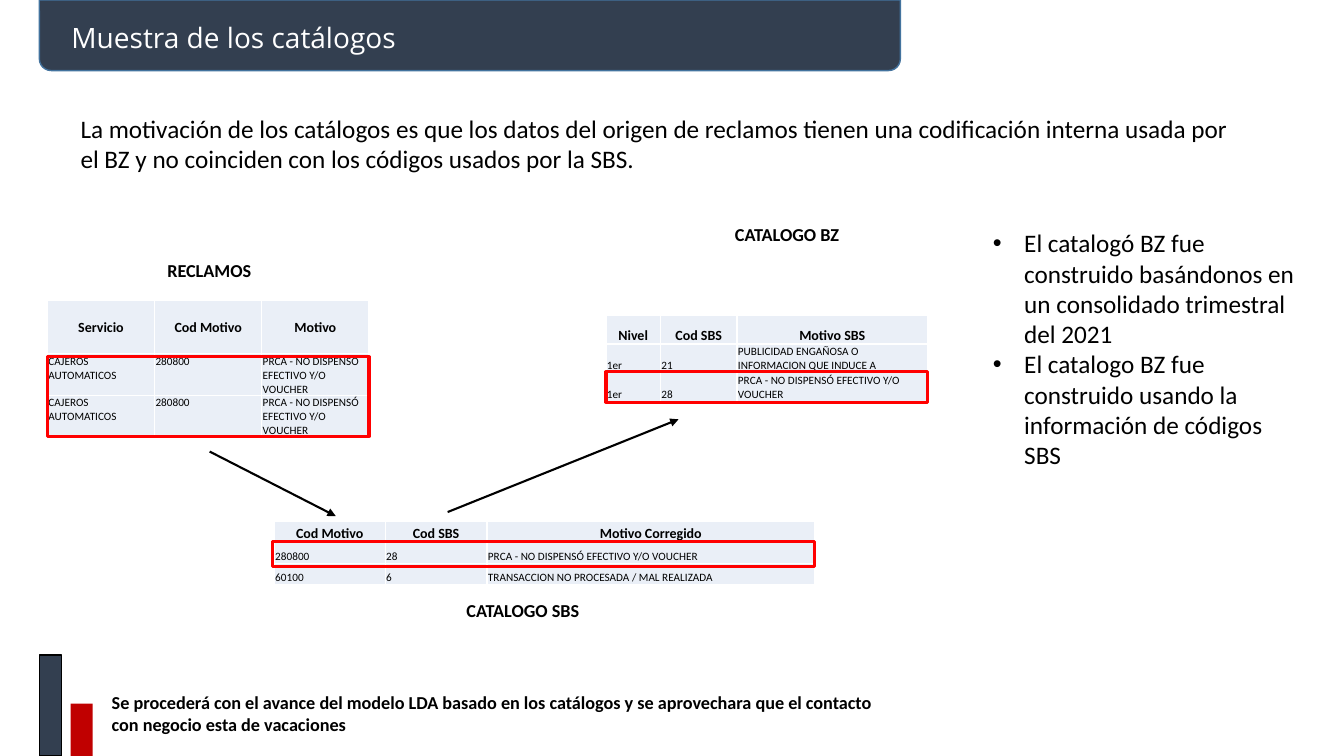
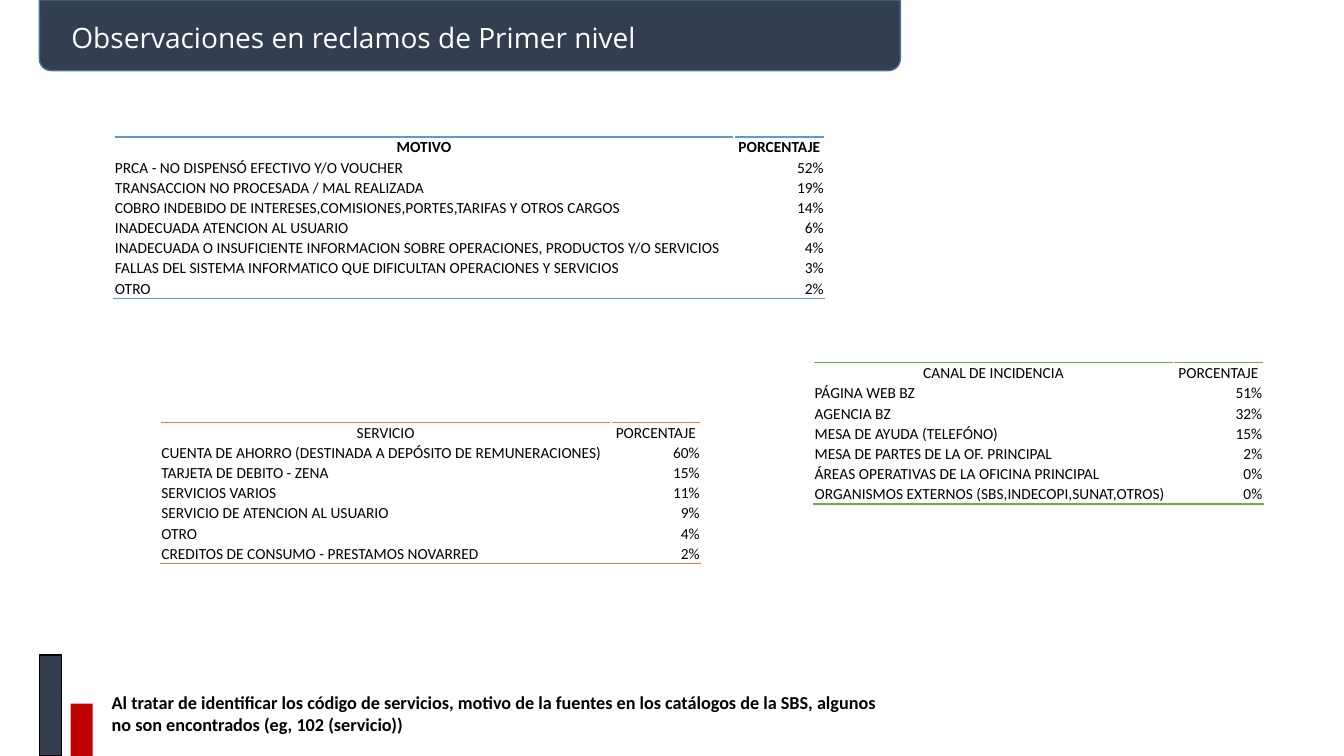
from dataclasses import dataclass
from typing import Optional

from lxml.etree import SubElement
from pptx import Presentation
from pptx.dml.color import RGBColor
from pptx.enum.shapes import MSO_CONNECTOR, MSO_SHAPE
from pptx.enum.text import MSO_ANCHOR, MSO_AUTO_SIZE, PP_ALIGN
from pptx.oxml.ns import qn
from pptx.slide import Slide
from pptx.util import Inches, Pt

# Colours and fonts
NAVY = RGBColor(0x33, 0x3F, 0x50)
STEEL = RGBColor(0x43, 0x73, 0x9E)
CRIMSON = RGBColor(0xC0, 0x00, 0x00)
RED = RGBColor(0xFF, 0x00, 0x00)
BLACK = RGBColor(0x00, 0x00, 0x00)
WHITE = RGBColor(0xFF, 0xFF, 0xFF)
PALE_BLUE = RGBColor(0xEA, 0xEF, 0xF7)
BLUE = RGBColor(0x5B, 0x9B, 0xD5)
ORANGE = RGBColor(0xED, 0x7D, 0x31)
GREEN = RGBColor(0x70, 0xAD, 0x47)
BODY_FONT = "Calibri"
TITLE_FONT = "Open Sans"

# Slide grid: 160 columns by 90 rows of square units
SLIDE_WIDTH, SLIDE_HEIGHT = Inches(13.33), Inches(7.5)
GRID_ROWS = 90
BULLET_INDENT = Inches(0.31)


def units(count: float) -> int:
    return round(count * SLIDE_HEIGHT / GRID_ROWS)


@dataclass(frozen=True)
class Box:
    left: float
    top: float
    width: float
    height: float

    def lengths(self) -> tuple[int, ...]:
        return tuple(map(units, (self.left, self.top, self.width, self.height)))


@dataclass(frozen=True)
class TextStyle:
    size: float
    bold: bool = False
    color: RGBColor = BLACK
    font: str = BODY_FONT
    align: PP_ALIGN = PP_ALIGN.LEFT
    bullet: bool = False


@dataclass(frozen=True)
class Arrow:
    start: tuple[float, float]
    end: tuple[float, float]


@dataclass(frozen=True)
class CatalogTable:
    label: str
    label_box: Box
    left: float
    top: float
    columns: tuple[float, ...]
    rows: tuple[float, ...]
    cells: tuple[tuple[str, ...], ...]
    highlight: Box
    header_anchor: MSO_ANCHOR = MSO_ANCHOR.BOTTOM
    body_anchor: MSO_ANCHOR = MSO_ANCHOR.BOTTOM


@dataclass(frozen=True)
class ShareTable:
    heading: str
    left: float
    top: float
    columns: tuple[float, float]
    color: RGBColor
    shares: tuple[tuple[str, int], ...]
    bold_header: bool = False


TITLE = TextStyle(20, color=WHITE, font=TITLE_FONT)
PROSE = TextStyle(18)
BULLETS = TextStyle(18, bullet=True)
NOTE = TextStyle(13, bold=True)
LABEL = TextStyle(13, bold=True, align=PP_ALIGN.CENTER)
CATALOG_HEADER = TextStyle(10, bold=True, align=PP_ALIGN.CENTER)
CATALOG_BODY = TextStyle(8)
SHARE_ROW = 2.4

# Slide content
VOUCHER = "PRCA - NO DISPENSÓ EFECTIVO Y/O VOUCHER"
UNPROCESSED = "TRANSACCION NO PROCESADA / MAL REALIZADA"
CLAIM = ("CAJEROS AUTOMATICOS", "280800", VOUCHER)

CATALOGS = (
    CatalogTable(
        "RECLAMOS", Box(14.04, 30.24, 21.72, 3.84), 5.64, 35.76,
        (12.76,) * 3, (6.36, 4.92, 4.92),
        (("Servicio", "Cod Motivo", "Motivo"), CLAIM, CLAIM),
        Box(5.64, 42.48, 38.28, 9.48), MSO_ANCHOR.MIDDLE, MSO_ANCHOR.TOP),
    CatalogTable(
        "CATALOGO SBS", Box(51.36, 70.8, 21.72, 5.04), 32.64, 62.04,
        (13.2, 12.12, 39), (2.5,) * 3,
        (("Cod Motivo", "Cod SBS", "Motivo Corregido"),
         ("280800", "28", VOUCHER),
         ("60100", "6", UNPROCESSED)),
        Box(32.4, 64.44, 64.56, 3)),
    CatalogTable(
        "CATALOGO BZ", Box(82.8, 26.04, 21.72, 5.04), 72.12, 37.56,
        (6.48, 9.12, 22.68), (3.4,) * 3,
        (("Nivel", "Cod SBS", "Motivo SBS"),
         ("1er", "21", "PUBLICIDAD ENGAÑOSA O INFORMACION QUE INDUCE A"),
         ("1er", "28", VOUCHER)),
        Box(72.12, 44.28, 38.28, 3.6)),
)
ARROWS = (Arrow((24.96, 53.76), (39.96, 61.44)), Arrow((53.28, 60.96), (80.76, 49.92)))

SHARE_TABLES = (
    ShareTable("MOTIVO", 13.56, 16.32, (73.8, 10.8), BLUE, (
        (VOUCHER, 52),
        (UNPROCESSED, 19),
        ("COBRO INDEBIDO DE INTERESES,COMISIONES,PORTES,TARIFAS Y OTROS CARGOS", 14),
        ("INADECUADA ATENCION AL USUARIO", 6),
        ("INADECUADA O INSUFICIENTE INFORMACION SOBRE OPERACIONES, PRODUCTOS Y/O SERVICIOS", 4),
        ("FALLAS DEL SISTEMA INFORMATICO QUE DIFICULTAN OPERACIONES Y SERVICIOS", 3),
        ("OTRO", 2)), bold_header=True),
    ShareTable("SERVICIO", 19.08, 50.28, (53.64, 10.68), ORANGE, (
        ("CUENTA DE AHORRO (DESTINADA A DEPÓSITO DE REMUNERACIONES)", 60),
        ("TARJETA DE DEBITO - ZENA", 15),
        ("SERVICIOS VARIOS", 11),
        ("SERVICIO DE ATENCION AL USUARIO", 9),
        ("OTRO", 4),
        ("CREDITOS DE CONSUMO - PRESTAMOS NOVARRED", 2))),
    ShareTable("CANAL DE INCIDENCIA", 96.84, 43.2, (42.84, 10.68), GREEN, (
        ("PÁGINA WEB BZ", 51),
        ("AGENCIA BZ", 32),
        ("MESA DE AYUDA (TELEFÓNO)", 15),
        ("MESA DE PARTES DE LA OF. PRINCIPAL", 2),
        ("ÁREAS OPERATIVAS DE LA OFICINA PRINCIPAL", 0),
        ("ORGANISMOS EXTERNOS (SBS,INDECOPI,SUNAT,OTROS)", 0))),
)


# Drawing functions
def style_paragraph(paragraph, style: TextStyle) -> None:
    paragraph.alignment = style.align
    for run in paragraph.runs:
        run.font.name = style.font
        run.font.size = Pt(style.size)
        run.font.bold = style.bold
        run.font.color.rgb = style.color
    if style.bullet:
        properties = paragraph._p.get_or_add_pPr()
        properties.set("marL", str(BULLET_INDENT))
        properties.set("indent", str(-BULLET_INDENT))
        SubElement(properties, qn("a:buFont"), typeface="Arial")
        SubElement(properties, qn("a:buChar"), char="•")


def add_text(slide: Slide, box: Box, text: str, style: TextStyle) -> None:
    text_frame = slide.shapes.add_textbox(*box.lengths()).text_frame
    text_frame.word_wrap = True
    text_frame.auto_size = MSO_AUTO_SIZE.SHAPE_TO_FIT_TEXT
    text_frame.text = text
    for paragraph in text_frame.paragraphs:
        style_paragraph(paragraph, style)


def add_block(slide: Slide, box: Box, fill: Optional[RGBColor] = None,
              line: Optional[RGBColor] = None, line_width: float = 1,
              kind: MSO_SHAPE = MSO_SHAPE.RECTANGLE, rotation: float = 0) -> None:
    shape = slide.shapes.add_shape(kind, *box.lengths())
    shape.shadow.inherit = False
    shape.rotation = rotation
    if fill is None:
        shape.fill.background()
    else:
        shape.fill.solid()
        shape.fill.fore_color.rgb = fill
    if line is None:
        shape.line.fill.background()
    else:
        shape.line.color.rgb = line
        shape.line.width = Pt(line_width)


def add_arrow(slide: Slide, arrow: Arrow) -> None:
    connector = slide.shapes.add_connector(
        MSO_CONNECTOR.STRAIGHT, *map(units, arrow.start + arrow.end))
    connector.line.color.rgb = BLACK
    connector.line.width = Pt(1.5)
    SubElement(connector.line._get_or_add_ln(), qn("a:tailEnd"), type="triangle")
    SubElement(connector._element.spPr, qn("a:effectLst"))


def add_plain_table(slide: Slide, left: float, top: float,
                    columns: tuple[float, ...], rows: tuple[float, ...]):
    box = Box(left, top, sum(columns), sum(rows))
    table = slide.shapes.add_table(len(rows), len(columns), *box.lengths()).table
    table.first_row = table.horz_banding = False
    for column, width in zip(table.columns, columns):
        column.width = units(width)
    for row, height in zip(table.rows, rows):
        row.height = units(height)
    return table


def fill_cell(cell, text: str, style: TextStyle, anchor: MSO_ANCHOR,
              edges: str, edge_color: RGBColor, fill: Optional[RGBColor] = None) -> None:
    cell.text_frame.text = text
    style_paragraph(cell.text_frame.paragraphs[0], style)
    cell.vertical_anchor = anchor
    cell.margin_left = cell.margin_right = cell.margin_top = Inches(0.01)
    cell.margin_bottom = 0
    properties = cell._tc.get_or_add_tcPr()
    for edge in edges:
        border = SubElement(properties, qn(f"a:ln{edge}"), w=str(Pt(1)))
        solid = SubElement(border, qn("a:solidFill"))
        SubElement(solid, qn("a:srgbClr"), val=str(edge_color))
    if fill is None:
        cell.fill.background()
    else:
        cell.fill.solid()
        cell.fill.fore_color.rgb = fill


def add_catalog(slide: Slide, catalog: CatalogTable) -> None:
    add_text(slide, catalog.label_box, catalog.label, LABEL)
    table = add_plain_table(slide, catalog.left, catalog.top, catalog.columns, catalog.rows)
    for row, texts in enumerate(catalog.cells):
        style = CATALOG_BODY if row else CATALOG_HEADER
        anchor = catalog.body_anchor if row else catalog.header_anchor
        for column, text in enumerate(texts):
            fill_cell(table.cell(row, column), text, style, anchor, "LRTB", WHITE, PALE_BLUE)
    add_block(slide, catalog.highlight, line=RED, line_width=2.25)


def add_shares(slide: Slide, data: ShareTable) -> None:
    last = len(data.shares)
    table = add_plain_table(slide, data.left, data.top, data.columns, (SHARE_ROW,) * (last + 1))
    header = TextStyle(11, bold=data.bold_header, align=PP_ALIGN.CENTER)
    for column, text in enumerate((data.heading, "PORCENTAJE")):
        fill_cell(table.cell(0, column), text, header, MSO_ANCHOR.TOP, "T", data.color)
    for row, (name, share) in enumerate(data.shares, start=1):
        edges = "B" if row == last else ""
        for column, (text, align) in enumerate(
                ((name, PP_ALIGN.LEFT), (f"{share}%", PP_ALIGN.RIGHT))):
            fill_cell(table.cell(row, column), text, TextStyle(11, align=align),
                      MSO_ANCHOR.BOTTOM, edges, data.color)


def add_framed_slide(presentation, title: str, note: str) -> Slide:
    slide = presentation.slides.add_slide(presentation.slide_layouts[6])
    add_block(slide, Box(4.68, 0, 102.48, 8.4), NAVY, STEEL,
              kind=MSO_SHAPE.ROUND_2_SAME_RECTANGLE, rotation=180)
    add_text(slide, Box(7.32, 1.8, 73.44, 5.28), title, TITLE)
    add_block(slide, Box(4.68, 78, 2.64, 12), NAVY, BLACK)
    add_block(slide, Box(8.4, 83.76, 2.64, 6.24), CRIMSON)
    add_text(slide, Box(12.12, 81.72, 95.04, 6.48), note, NOTE)
    return slide


presentation = Presentation()
presentation.slide_width, presentation.slide_height = SLIDE_WIDTH, SLIDE_HEIGHT

# Catalogue samples
catalog_slide = add_framed_slide(
    presentation, "Muestra de los catálogos",
    "Se procederá con el avance del modelo LDA basado en los catálogos y se "
    "aprovechara que el contacto con negocio esta de vacaciones")
add_text(catalog_slide, Box(8.4, 12.84, 140.52, 8.52),
         "La motivación de los catálogos es que los datos del origen de reclamos tienen una "
         "codificación interna usada por el BZ y no coinciden con los códigos usados por la SBS.",
         PROSE)
for catalog in CATALOGS:
    add_catalog(catalog_slide, catalog)
for arrow in ARROWS:
    add_arrow(catalog_slide, arrow)
add_text(catalog_slide, Box(117, 26.52, 38.28, 30.24),
         "El catalogó BZ fue construido basándonos en un consolidado trimestral del 2021\n"
         "El catalogo BZ fue construido usando la información de códigos SBS", BULLETS)

# First-level claims
claims_slide = add_framed_slide(
    presentation, "Observaciones en reclamos de Primer nivel",
    "Al tratar de identificar los código de servicios, motivo de la fuentes en los "
    "catálogos de la SBS, algunos no son encontrados (eg, 102 (servicio))")
for share_table in SHARE_TABLES:
    add_shares(claims_slide, share_table)

presentation.save("out.pptx")
